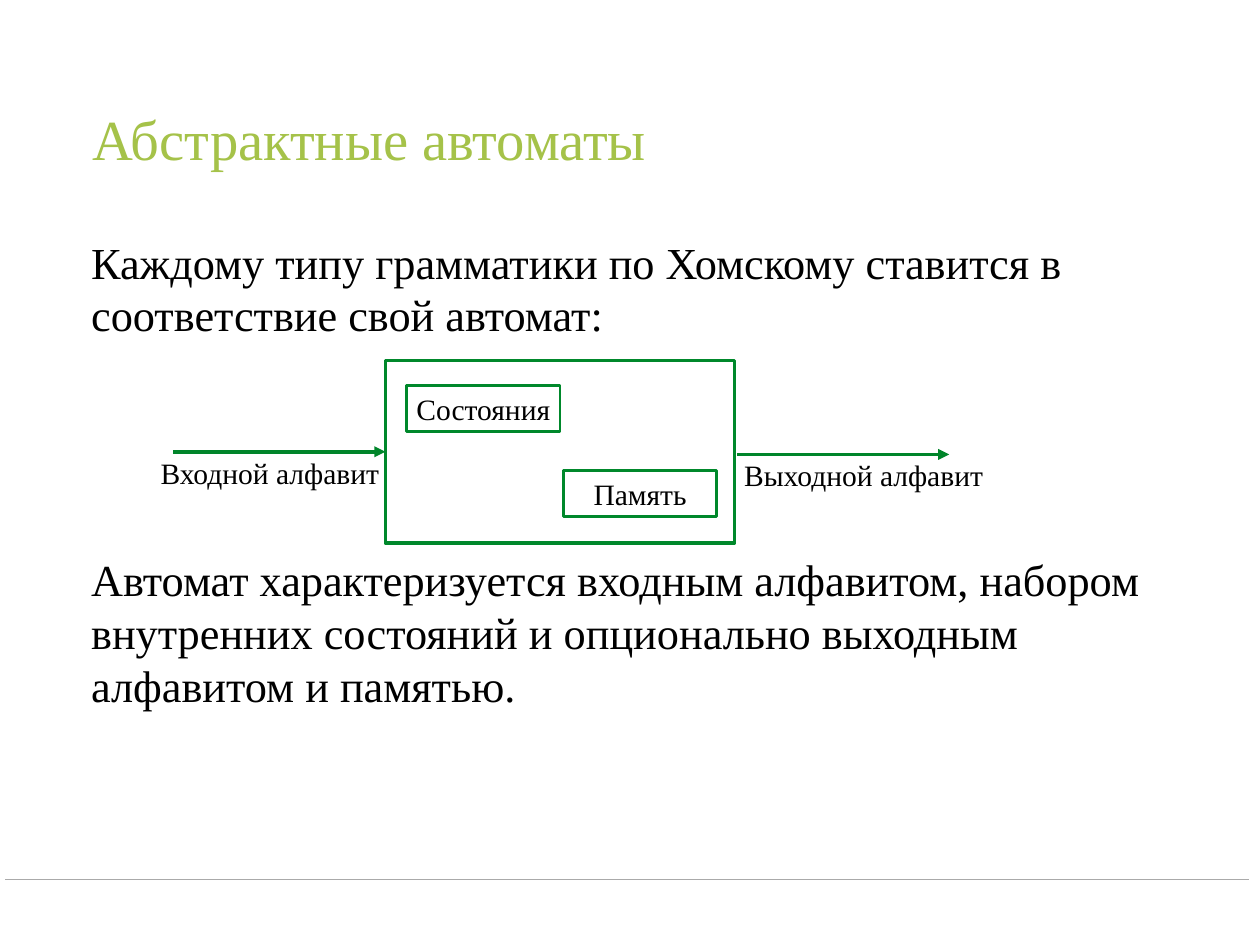
from lxml import etree
from pptx import Presentation
from pptx.dml.color import RGBColor
from pptx.enum import shapes, text
from pptx.oxml.ns import qn
from pptx.util import Pt

FONT = "Times New Roman"
TITLE_GREEN = RGBColor(0xA5, 0xC2, 0x49)
BOX_GREEN = RGBColor(0x00, 0x88, 0x2B)
ARROW_GREEN = RGBColor(0x00, 0x85, 0x2A)
RULE_GRAY = RGBColor(0xAA, 0xAA, 0xAA)
WHITE = RGBColor(0xFF, 0xFF, 0xFF)
BLACK = RGBColor(0, 0, 0)

LINE_PITCH = 43
DIAGRAM_LINES = 4  # body lines left free for the diagram


def set_text(sp, lines, size, color=BLACK, align=text.PP_ALIGN.LEFT,
             anchor=text.MSO_ANCHOR.MIDDLE, inset=5, wrap=True):
    tf = sp.text_frame
    tf.word_wrap = wrap
    tf.vertical_anchor = anchor
    tf.margin_left = tf.margin_right = tf.margin_top = tf.margin_bottom = Pt(inset)
    tf.text = "\n".join(lines)
    for p in tf.paragraphs:
        p.alignment = align
        p.font.name, p.font.size, p.font.color.rgb = FONT, Pt(size), color
    return tf


def add_text(s, box, lines, size, **style):
    return set_text(s.shapes.add_textbox(*map(Pt, box)), lines, size, **style)


def add_box(s, box, line_width, label=None):
    sp = s.shapes.add_shape(shapes.MSO_SHAPE.RECTANGLE, *map(Pt, box))
    sp.shadow.inherit = False
    sp.fill.solid()
    sp.fill.fore_color.rgb = WHITE
    sp.line.color.rgb = BOX_GREEN
    sp.line.width = Pt(line_width)
    if label:
        set_text(sp, [label], 24, align=text.PP_ALIGN.CENTER, inset=4.3)


def add_line(s, x1, x2, y, color, width, arrow=False):
    """Draw a horizontal line, with an arrowhead at x2 if asked."""
    line = s.shapes.add_connector(shapes.MSO_CONNECTOR.STRAIGHT, Pt(x1), Pt(y), Pt(x2), Pt(y))
    line.line.color.rgb = color
    line.line.width = Pt(width)
    if arrow:
        etree.SubElement(line.line._get_or_add_ln(), qn("a:tailEnd"), type="triangle")
    etree.SubElement(line._element.spPr, qn("a:effectLst"))


def add_body(s, box, before, after):
    tf = add_text(s, box, [before, after], 36, anchor=text.MSO_ANCHOR.TOP)
    for p in tf.paragraphs:
        p.line_spacing = Pt(LINE_PITCH)
    tf.paragraphs[1].space_before = Pt(DIAGRAM_LINES * LINE_PITCH)


def add_automaton(s, box):
    """Draw the automaton in box, with its input and output on either side."""
    x, y, w, h = box
    add_box(s, box, 3)
    for dx, dy, label in ((17.3, 20.2, "Состояния"), (144.7, 89.3, "Память")):
        add_box(s, (x + dx, y + dy, 124.6, 37.4), 2, label)

    arrow_length = 172.5
    middle = y + h / 2
    output_x = x + w + 2
    flows = ((x - arrow_length, middle, x - 188.6, 189.4, "Входной алфавит"),
             (output_x, middle + 2.2, output_x, 206, "Выходной алфавит"))
    for start, level, label_x, label_w, label in flows:
        add_line(s, start, start + arrow_length, level, ARROW_GREEN, 3, arrow=True)
        add_text(s, (label_x, level - 2, label_w, 37.4), [label], 24,
                 align=text.PP_ALIGN.CENTER, inset=4.3, wrap=False)


def main():
    prs = Presentation()
    prs.slide_width, prs.slide_height = Pt(1024), Pt(768)
    s = prs.slides.add_slide(prs.slide_layouts[6])
    title = add_text(s, (70.6, 41, 883.4, 148.3), ["Абстрактные автоматы"], 46,
                     color=TITLE_GREEN)
    title.paragraphs[0].line_spacing = 0.9
    add_line(s, 4.3, 1015.2, 715, RULE_GRAY, 1)
    add_body(s, (69.1, 186, 902.2, 561),
             "Каждому типу грамматики по Хомскому ставится в соответствие свой автомат:",
             "Автомат характеризуется входным алфавитом, набором внутренних состояний "
             "и опционально выходным алфавитом и памятью.")
    add_automaton(s, (313.2, 293, 283.7, 148.3))
    prs.save("out.pptx")


if __name__ == "__main__":
    main()
